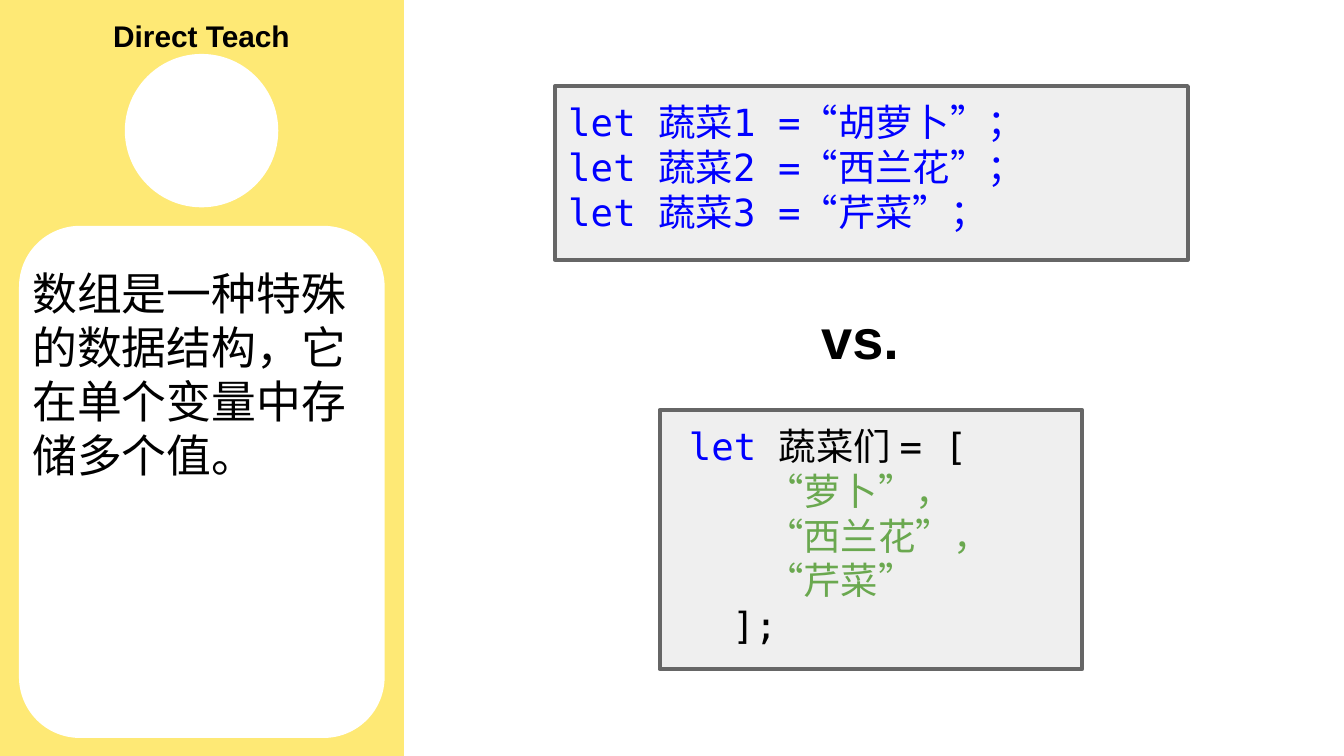
from pptx import Presentation
from pptx.dml.color import RGBColor
from pptx.enum.shapes import MSO_SHAPE
from pptx.enum.text import MSO_ANCHOR, MSO_AUTO_SIZE, PP_ALIGN
from pptx.util import Cm, Pt

SANS, MONO = "Arial", "DejaVu Sans Mono"
BLACK, BLUE, GREEN = "000000", "0000FF", "6AA84F"
WHITE, CREAM, PALE, GREY = "FFFFFF", "FEE975", "EFEFEF", "666666"


def tint(code):
    return RGBColor.from_string(code)


def write(para, text, size=20, font=MONO, color=BLUE, bold=False,
          align=PP_ALIGN.LEFT, left=0, first=0):
    para.alignment = align
    props = para._p.get_or_add_pPr()
    props.set("marL", str(Cm(left)))
    props.set("indent", str(Cm(first)))
    run = para.add_run()
    run.text = text
    run.font.size = Pt(size)
    run.font.name = font
    run.font.bold = bold
    run.font.color.rgb = tint(color)


class Deck:
    def __init__(self, show):
        self.slide = show.slides.add_slide(show.slide_layouts[5])
        self.items = self.slide.shapes

    def frame(self, shape, anchor=MSO_ANCHOR.TOP):
        frame = shape.text_frame
        frame.word_wrap = True
        frame.auto_size = MSO_AUTO_SIZE.NONE
        frame.vertical_anchor = anchor
        frame.margin_left = frame.margin_right = Cm(0.25)
        frame.margin_top = frame.margin_bottom = Cm(0.25)
        return frame

    def block(self, kind, box, fill, line=None, width=0.75):
        shape = self.items.add_shape(kind, *map(Cm, box))
        shape.shadow.inherit = False
        shape.fill.solid()
        shape.fill.fore_color.rgb = tint(fill)
        if line:
            shape.line.color.rgb = tint(line)
            shape.line.width = Pt(width)
        else:
            shape.line.fill.background()
        return shape

    def label(self, box, text, anchor=MSO_ANCHOR.TOP, **style):
        shape = self.items.add_textbox(*map(Cm, box))
        write(self.frame(shape, anchor).paragraphs[0], text,
              font=SANS, color=BLACK, bold=True, **style)

    def title(self, box, text):
        shape = self.items.title
        shape.left, shape.top, shape.width, shape.height = map(Cm, box)
        write(self.frame(shape).paragraphs[0], text,
              size=24, font=SANS, color=BLACK)
        self.items._spTree.append(shape._element)

    def code(self, box, lines):
        shape = self.block(MSO_SHAPE.RECTANGLE, box, PALE, GREY, 2.25)
        frame = self.frame(shape)
        for num, (parts, left, first) in enumerate(lines):
            para = frame.add_paragraph() if num else frame.paragraphs[0]
            for text, color in parts:
                write(para, text, color=color, left=left, first=first)


def main():
    show = Presentation()
    show.slide_width, show.slide_height = Cm(25.4), Cm(14.29)
    deck = Deck(show)

    deck.block(MSO_SHAPE.RECTANGLE, (0, 0, 7.62, 14.29), CREAM, CREAM)
    deck.label((0, 0.36, 7.62, 0.64), "Direct Teach", MSO_ANCHOR.MIDDLE,
               size=16, align=PP_ALIGN.CENTER)
    deck.block(MSO_SHAPE.OVAL, (2.36, 1.02, 2.9, 2.9), WHITE)
    deck.block(MSO_SHAPE.ROUNDED_RECTANGLE, (0.36, 4.27, 6.91, 9.68), WHITE)
    deck.title((0.36, 4.78, 6.91, 8.64),
               "数组是一种特殊的数据结构，它在单个变量中存储多个值。")

    deck.label((15.27, 5.49, 2.41, 1.7), "vs.", size=30)
    foods = ["“萝卜”，", "“西兰花”，", "“芹菜”"]
    deck.code((12.47, 7.75, 7.98, 4.9), [
        ([("let ", BLUE), ("蔬菜们 = [", BLACK)], 0.3, 0),
        *[([(food, GREEN)], 1.12, 0.64) for food in foods],
        ([("];", BLACK)], 1.12, 0),
    ])
    names = ["胡萝卜", "西兰花", "芹菜"]
    deck.code((10.49, 1.63, 11.96, 3.28), [
        ([(f"let 蔬菜{num} =“{name}”；", BLUE)], 0, 0)
        for num, name in enumerate(names, 1)
    ])
    show.save("out.pptx")


if __name__ == "__main__":
    main()
